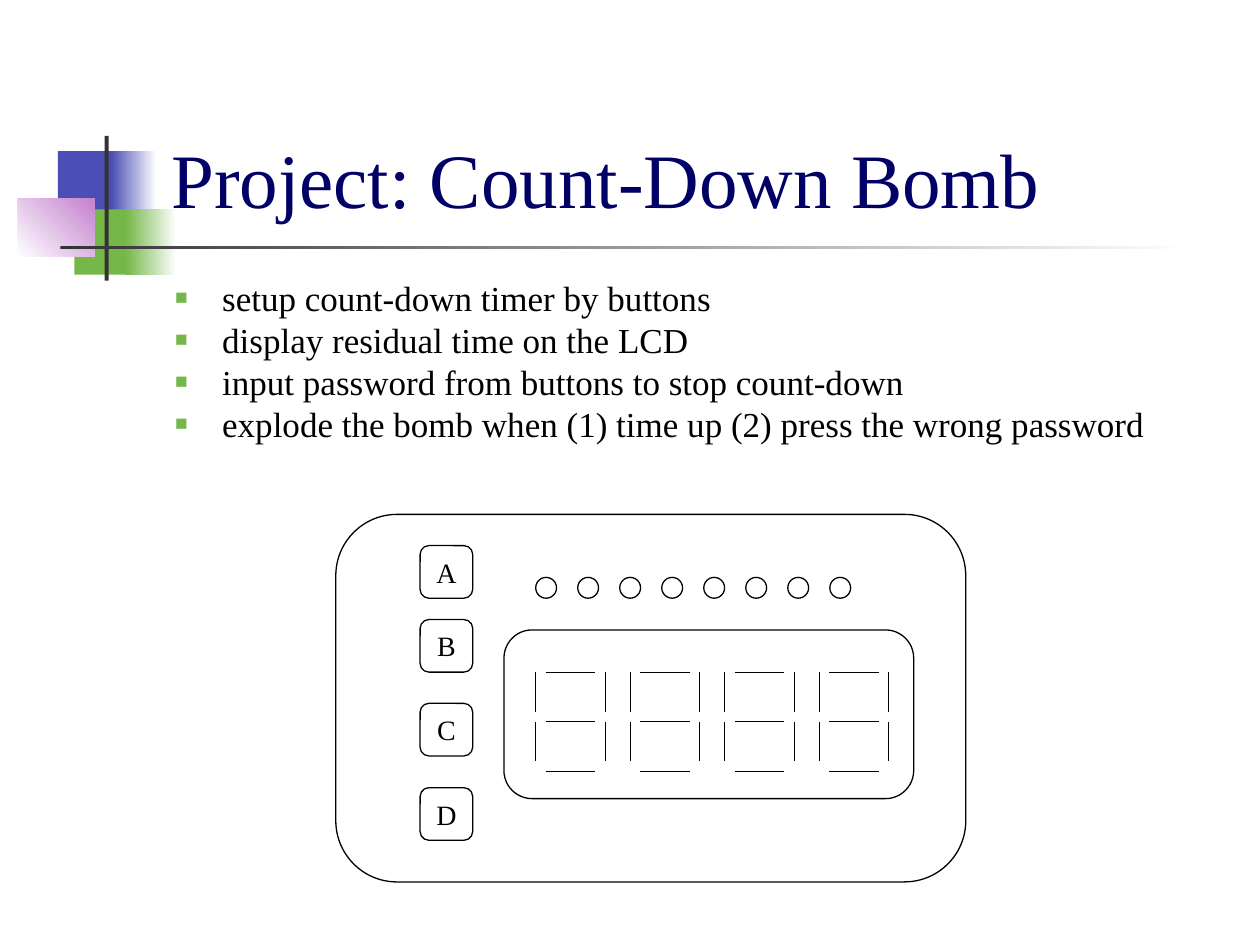
from dataclasses import dataclass

from lxml import etree
from pptx import Presentation
from pptx.dml.color import RGBColor
from pptx.enum import shapes, text
from pptx.oxml import ns
from pptx.util import Cm, Pt

FONT = "Times New Roman"
BLACK, WHITE, NAVY = "000000", "FFFFFF", "000066"
BLUE, GREEN, PURPLE, GREY = "4B4EB5", "76B749", "C481CF", "333333"
SHAPE = shapes.MSO_SHAPE


@dataclass
class Block:
    """Decorative rectangle, in cm; a gradient when end is given."""
    x: float
    y: float
    w: float
    h: float
    start: str
    end: str = ""
    angle: float = 0


@dataclass
class Segment:
    """Stroke of a digit, in cm from the digit's top left corner."""
    x1: float
    y1: float
    x2: float
    y2: float


BLOCKS = [
    Block(1.17, 3.05, 1.22, 1.32, BLUE),
    Block(2.24, 3.05, 0.91, 1.32, BLUE, WHITE),
    Block(1.5, 4.22, 1.17, 1.32, GREEN),
    Block(2.54, 4.22, 1.02, 1.32, GREEN, WHITE),
    Block(0.36, 4.01, 1.55, 1.17, WHITE, PURPLE, 45),
    Block(2.11, 2.74, 0.08, 2.92, GREY),
    Block(1.22, 4.95, 22.86, 0.08, GREY, WHITE),
]
SEGMENTS = [Segment(0.2, y, 1.2, y) for y in (0, 1, 2)] + [
    Segment(x, y, x, y + 0.8) for x in (0, 1.4) for y in (0, 1)]
BULLETS = [
    "setup count-down timer by buttons",
    "display residual time on the LCD",
    "input password from buttons to stop count-down",
    "explode the bomb when (1) time up (2) press the wrong password",
]
BUTTONS = {"A": 11, "B": 12.49, "C": 14.18, "D": 15.88}


def rgb(color: str) -> RGBColor:
    return RGBColor.from_string(color)


def set_font(p, size: float, color: str) -> None:
    p.font.name, p.font.size, p.font.color.rgb = FONT, Pt(size), rgb(color)


def add_block(s, b: Block) -> None:
    sp = s.shapes.add_shape(SHAPE.RECTANGLE, Cm(b.x), Cm(b.y), Cm(b.w), Cm(b.h))
    sp.shadow.inherit = False
    sp.line.fill.background()
    if not b.end:
        sp.fill.solid()
        sp.fill.fore_color.rgb = rgb(b.start)
        return
    sp.fill.gradient()
    sp.fill.gradient_angle = b.angle
    for stop, color in zip(sp.fill.gradient_stops, (b.start, b.end)):
        stop.color.rgb = rgb(color)


def add_outline(s, kind, x: float, y: float, w: float, h: float):
    sp = s.shapes.add_shape(kind, Cm(x), Cm(y), Cm(w), Cm(h))
    sp.shadow.inherit = False
    sp.fill.background()
    sp.line.color.rgb, sp.line.width = rgb(BLACK), Pt(0.75)
    return sp


def add_segment(s, x: float, y: float, seg: Segment) -> None:
    line = s.shapes.add_connector(
        shapes.MSO_CONNECTOR.STRAIGHT, Cm(x + seg.x1), Cm(y + seg.y1),
        Cm(x + seg.x2), Cm(y + seg.y2))
    line.line.color.rgb, line.line.width = rgb(BLACK), Pt(0.75)
    etree.SubElement(line._element.spPr, ns.qn("a:effectLst"))


def add_button(s, label: str, y: float) -> None:
    sp = add_outline(s, SHAPE.ROUNDED_RECTANGLE, 8.47, y, 1.06, 1.06)
    tf = sp.text_frame
    tf.word_wrap, tf.vertical_anchor = False, text.MSO_ANCHOR.MIDDLE
    p = tf.paragraphs[0]
    p.text, p.alignment = label, text.PP_ALIGN.CENTER
    set_font(p, 16, BLACK)


def set_bullet(p) -> None:
    pPr = p._p.get_or_add_pPr()
    pPr.set("marL", str(Cm(0.95)))
    pPr.set("indent", str(-Cm(0.95)))
    # Bullet elements go ahead of the default run properties
    end = pPr.find(ns.qn("a:defRPr"))
    for xml in (f'<a:buClr {ns.nsdecls("a")}><a:srgbClr val="{GREEN}"/></a:buClr>',
                f'<a:buSzPct {ns.nsdecls("a")} val="60000"/>',
                f'<a:buFont {ns.nsdecls("a")} typeface="Arial"/>',
                f'<a:buChar {ns.nsdecls("a")} char="\u25a0"/>'):
        end.addprevious(etree.fromstring(xml))


prs = Presentation()
prs.slide_width, prs.slide_height = Cm(25.4), Cm(19.05)
s = prs.slides.add_slide(prs.slide_layouts[5])

# Corner decoration
for block in BLOCKS:
    add_block(s, block)

# Title
title = s.shapes.title
title.left, title.top, title.width, title.height = Cm(3.2), Cm(0.58), Cm(21.64), Cm(4.06)
tf = title.text_frame
tf.auto_size, tf.vertical_anchor = text.MSO_AUTO_SIZE.NONE, text.MSO_ANCHOR.BOTTOM
p = tf.paragraphs[0]
p.text, p.alignment = "Project: Count-Down Bomb", text.PP_ALIGN.LEFT
set_font(p, 44, NAVY)

# Bullet list
tf = s.shapes.add_textbox(Cm(3.28), Cm(5.61), Cm(21.59), Cm(3.91)).text_frame
tf.word_wrap = True
for i, item in enumerate(BULLETS):
    p = tf.add_paragraph() if i else tf.paragraphs[0]
    p.text, p.line_spacing, p.space_before = item, 0.8, Pt(4.8)
    set_font(p, 20, BLACK)
    set_bullet(p)

# Display with four digits
for digit in range(4):
    for segment in SEGMENTS:
        add_segment(s, 10.8 + 1.905 * digit, 13.55, segment)
add_outline(s, SHAPE.ROUNDED_RECTANGLE, 10.16, 12.7, 8.26, 3.4)

# Row of lamps
for lamp in range(8):
    add_outline(s, SHAPE.OVAL, 10.8 + 0.847 * lamp, 11.64, 0.42, 0.42)

# Buttons and case
for label, y in BUTTONS.items():
    add_button(s, label, y)
add_outline(s, SHAPE.ROUNDED_RECTANGLE, 6.77, 10.37, 12.7, 7.41)

prs.save("out.pptx")
